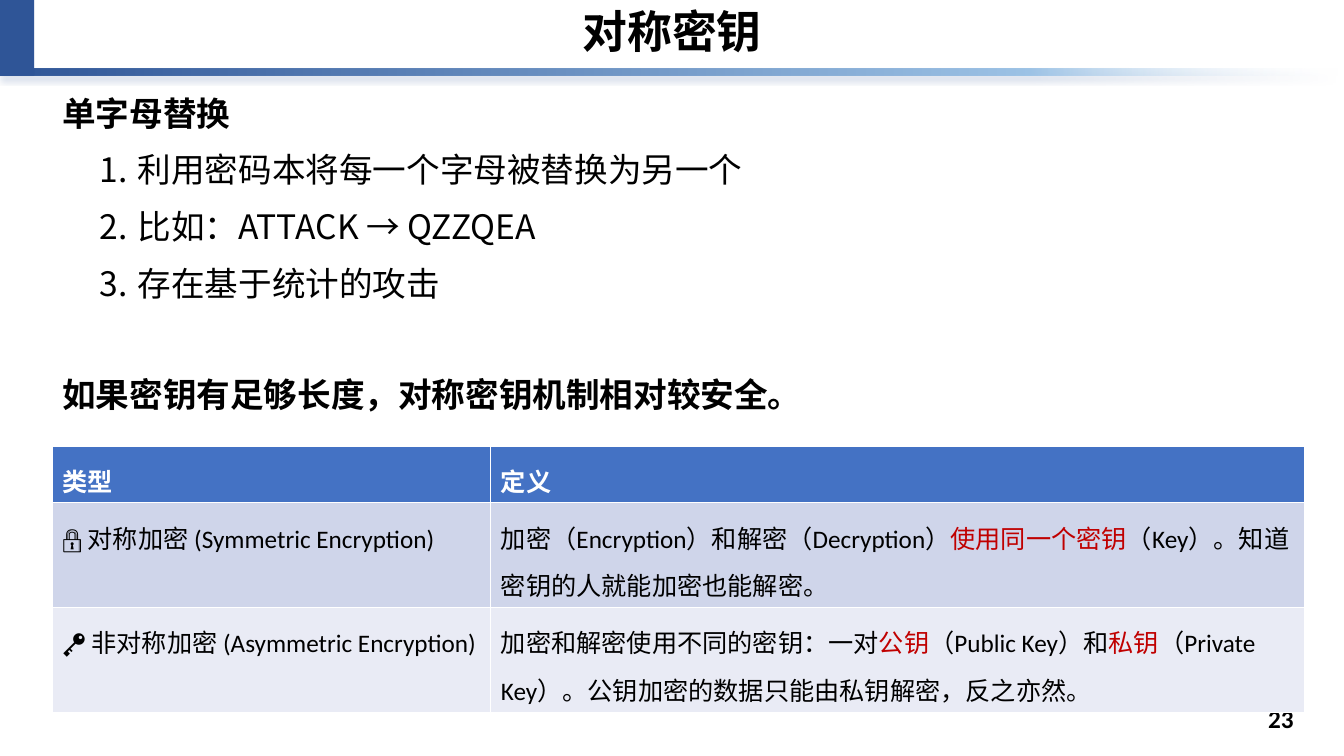
import pptx
import pptx.util
import pptx.oxml
import pptx.oxml.ns
import pptx.dml.color
import pptx.enum.shapes
import pptx.enum.text
from lxml import etree

Cm = pptx.util.Cm
Pt = pptx.util.Pt
ALIGN = pptx.enum.text.PP_ALIGN

COLORS = {
    "navy": "2F5597", "sky": "9DC3E6", "white": "FFFFFF", "black": "000000",
    "header": "4472C4", "band_dark": "CFD5EA", "band_light": "E9EBF5", "red": "C00000",
}
CHINESE = "Noto Sans CJK SC"
LATIN = "Calibri"

HEADING = "单字母替换"
STEPS = ["利用密码本将每一个字母被替换为另一个", "比如：ATTACK → QZZQEA", "存在基于统计的攻击"]
CONCLUSION = "如果密钥有足够长度，对称密钥机制相对较安全。"
KEY_TYPES = [
    ["类型", "定义"],
    ["🔒 对称加密 (Symmetric Encryption)",
     "加密（Encryption）和解密（Decryption）|使用同一个密钥|（Key）。知道密钥的人就能加密也能解密。"],
    ["🔑 非对称加密 (Asymmetric Encryption)",
     "加密和解密使用不同的密钥：一对|公钥|（Public Key）和|私钥|"
     "（Private Key）。公钥加密的数据只能由私钥解密，反之亦然。"],
]


def rgb(name):
    return pptx.dml.color.RGBColor.from_string(COLORS[name])


def drawing_element(body):
    return pptx.oxml.parse_xml(body.replace(">", f" {pptx.oxml.ns.nsdecls('a')}>", 1))


def style_paragraph(para, size, font=CHINESE, bold=False, color="black", spacing=1.0, before=0):
    para.line_spacing = spacing
    para.space_before = Pt(before)
    para.font.size = Pt(size)
    para.font.bold = bold
    para.font.color.rgb = rgb(color)
    para.font.name = font
    defaults = para._p.pPr.find(pptx.oxml.ns.qn("a:defRPr"))
    east_asian = etree.SubElement(defaults, pptx.oxml.ns.qn("a:ea"))
    east_asian.set("typeface", CHINESE)


def add_text_box(page, left, top, width, height, inset=0.0):
    frame = page.shapes.add_textbox(Cm(left), Cm(top), Cm(width), Cm(height)).text_frame
    frame.word_wrap = True
    frame.margin_top = frame.margin_bottom = Cm(inset)
    return frame


def add_band(page, left, top, width, height, alpha, blur, distance, angle):
    band = page.shapes.add_shape(
        pptx.enum.shapes.MSO_SHAPE.RECTANGLE, Cm(left), Cm(top), Cm(width), Cm(height))
    band.shadow.inherit = False
    band.fill.solid()
    band.fill.fore_color.rgb = rgb("navy")
    band.line.fill.background()
    effects = band._element.spPr.find(pptx.oxml.ns.qn("a:effectLst"))
    effects.append(drawing_element(
        f'<a:outerShdw blurRad="{Pt(blur)}" dist="{Pt(distance)}" dir="{angle * 60000}" rotWithShape="0">'
        f'<a:srgbClr val="{COLORS["navy"]}"><a:alpha val="{alpha * 1000}"/></a:srgbClr></a:outerShdw>'))
    return band


def add_header(page, left, top, width, height):
    bar = add_band(page, left, top + height - 0.18, width, 0.18, 26, 4, 3, 90)
    solid = bar._element.spPr.find(pptx.oxml.ns.qn("a:solidFill"))
    bar._element.spPr.replace(solid, drawing_element(
        '<a:gradFill rotWithShape="1"><a:gsLst>'
        f'<a:gs pos="0"><a:srgbClr val="{COLORS["navy"]}"/></a:gs>'
        f'<a:gs pos="77000"><a:srgbClr val="{COLORS["sky"]}"/></a:gs>'
        f'<a:gs pos="100000"><a:srgbClr val="{COLORS["white"]}"><a:alpha val="0"/></a:srgbClr></a:gs>'
        '</a:gsLst><a:lin ang="0" scaled="0"/></a:gradFill>'))
    add_band(page, left, top, 0.86, height, 40, 2, 2, 225)
    para = add_text_box(page, left + 5.79, top + 0.25, 22.3, 1.47).paragraphs[0]
    para.text = "对称密钥"
    para.alignment = ALIGN.CENTER
    style_paragraph(para, 32, bold=True, spacing=0.9)


def add_substitution(page, left, top, width, height):
    frame = add_text_box(page, left, top, width, height, 0.2)
    heading = frame.paragraphs[0]
    heading.text = HEADING
    style_paragraph(heading, 24, bold=True, spacing=1.25)
    for step in STEPS:
        para = frame.add_paragraph()
        para.text = step
        para.level = 1
        properties = para._p.get_or_add_pPr()
        properties.set("marL", str(Cm(1.9)))
        properties.set("indent", str(Cm(-0.96)))
        properties.append(drawing_element('<a:buFont typeface="+mj-lt"/>'.replace("/>", "></a:buFont>")))
        properties.append(drawing_element('<a:buAutoNum type="arabicPeriod"></a:buAutoNum>'))
        style_paragraph(para, 24, spacing=1.25, before=4.5)


def add_conclusion(page, left, top, width, height):
    para = add_text_box(page, left, top, width, height).paragraphs[0]
    para.text = CONCLUSION
    style_paragraph(para, 24, bold=True)


def add_page_number(page, left, top, width, height):
    para = add_text_box(page, left, top, width, height, 0.13).paragraphs[0]
    para.text = "23"
    para.alignment = ALIGN.CENTER
    style_paragraph(para, 18, LATIN, bold=True, spacing=0.9)


def add_key_types(page, left, top, width, height):
    header_height = 1.42
    row_height = (height - header_height) / 2
    table = page.shapes.add_table(3, 2, Cm(left), Cm(top), Cm(width), Cm(height)).table
    for column, share in zip(table.columns, (0.35, 0.65)):
        column.width = Cm(width * share)
    fills = ("header", "band_dark", "band_light")
    for index, (texts, fill) in enumerate(zip(KEY_TYPES, fills)):
        is_header = index == 0
        table.rows[index].height = Cm(header_height if is_header else row_height)
        for cell, text in zip(table.rows[index].cells, texts):
            cell.fill.solid()
            cell.fill.fore_color.rgb = rgb(fill)
            para = cell.text_frame.paragraphs[0]
            style_paragraph(para, 18, LATIN, bold=is_header,
                            color="white" if is_header else "black", spacing=1.3)
            for position, part in enumerate(text.split("|")):
                span = para.add_run()
                span.text = part
                span.font.color.rgb = rgb("red" if position % 2 else "white" if is_header else "black")


def main():
    deck = pptx.Presentation()
    deck.slide_width = Cm(33.87)
    deck.slide_height = Cm(19.05)
    page = deck.slides.add_slide(deck.slide_layouts[6])
    add_header(page, 0, 0, 33.7, 1.91)
    add_substitution(page, 1.32, 1.88, 31.57, 9.17)
    add_page_number(page, 31.67, 17.68, 1.22, 0.89)
    add_conclusion(page, 1.32, 9.42, 25.73, 1.07)
    add_key_types(page, 1.32, 11.25, 31.57, 6.7)
    deck.save("out.pptx")


if __name__ == "__main__":
    main()
